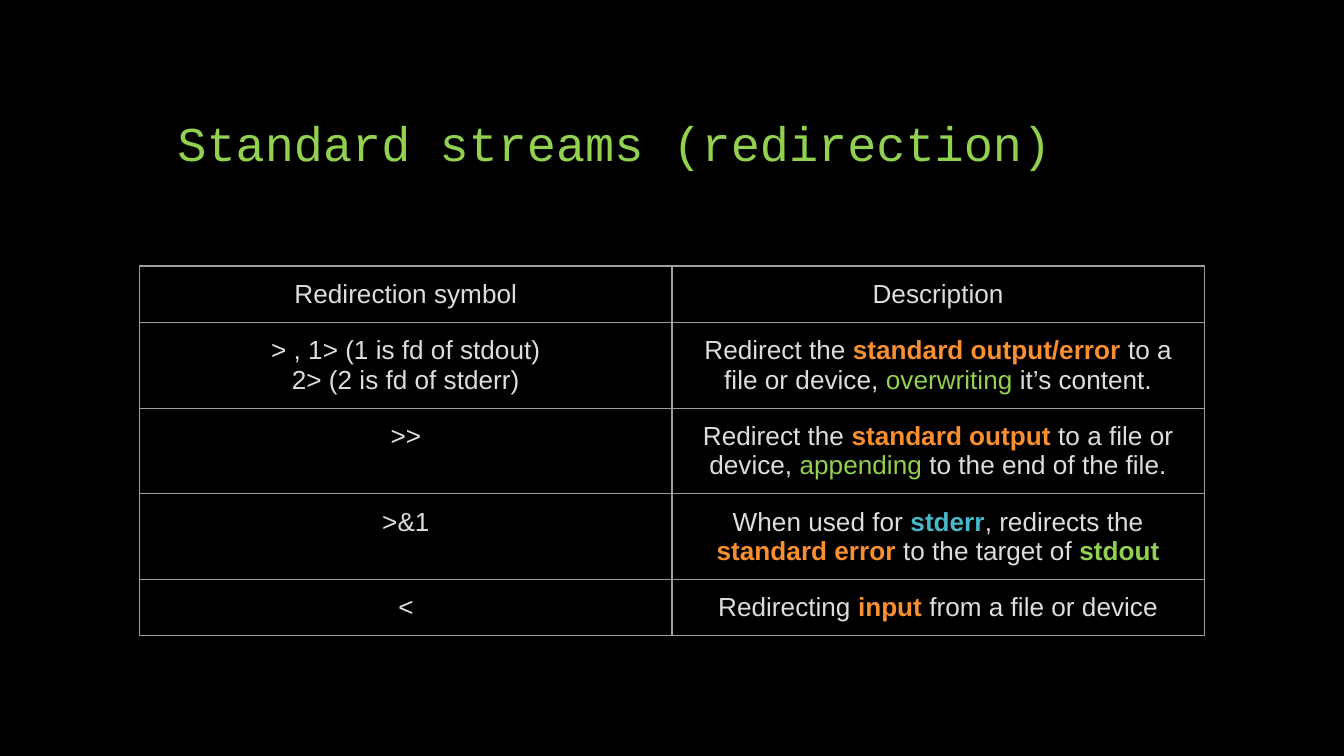
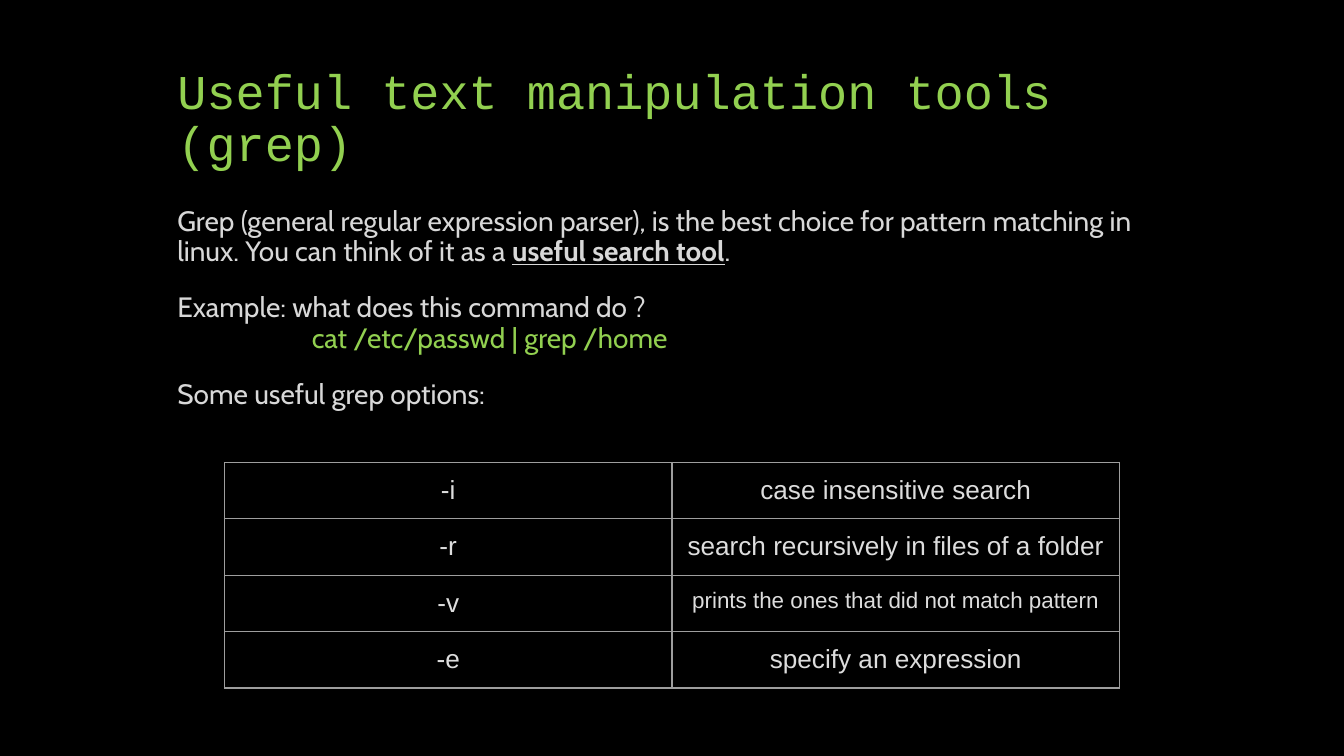
from lxml.etree import SubElement
from pptx import Presentation
from pptx.dml.color import RGBColor
from pptx.enum.text import MSO_ANCHOR as ANCHOR, MSO_AUTO_SIZE as AUTO, PP_ALIGN as ALIGN
from pptx.oxml.ns import qn
from pptx.util import Inches, Pt

# Shared look
BLACK, GREEN, ORANGE, TEAL = "000000", "92D050", "FA8F30", "47B8C7"
BODY_GREY, CELL_GREY, BORDER = "D8D8D8", "DDDDDD", "9E9E9E"
LEFT, TEXT_WIDTH = 1.25, 7.5
TITLE_ONLY = 5

# Run styles used inside the texts
KEY = dict(color=ORANGE, bold=True)
ACTION = dict(color=GREEN)
STDERR = dict(color=TEAL, bold=True)
STDOUT = dict(color=GREEN, bold=True)
STRESS = dict(bold=True, underline=True)
SMALL = dict(size=12)

REDIRECTIONS = [
    ("Redirection symbol", "Description"),
    ("> , 1> (1 is fd of stdout)\n2> (2 is fd of stderr)",
     ["Redirect the ", ("standard output/error", KEY), " to a file or device, ",
      ("overwriting", ACTION), " it’s content."]),
    (">>",
     ["Redirect the ", ("standard output", KEY), " to a file or device, ",
      ("appending", ACTION), " to the end of the file."]),
    (">&1",
     ["When used for ", ("stderr", STDERR), ", redirects the ",
      ("standard error", KEY), " to the target of ", ("stdout", STDOUT)]),
    ("<", ["Redirecting ", ("input", KEY), " from a file or device"]),
]

GREP_TEXT = [
    ["Grep (general regular expression parser), is the best choice for pattern "
     "matching in linux. You can think of it as a ",
     ("useful search tool", STRESS), "."],
    ["Example: what does this command do ?\n\t", ("cat /etc/passwd | grep /home", ACTION)],
    "Some useful grep options:",
]

GREP_OPTIONS = [
    ("-i", "case insensitive search"),
    ("-r", "search recursively in files of a folder"),
    ("-v", [("prints the ones that did not match pattern", SMALL)]),
    ("-e", "specify an expression"),
]


def rgb(color):
    return RGBColor.from_string(color)


def add_run(p, text, font, size, color, bold=False, underline=False):
    r = p.add_run()
    r.text = text
    r.font.name, r.font.size = font, Pt(size)
    r.font.color.rgb = rgb(color)
    r.font.bold, r.font.underline = bold, underline


def write(p, content, **base):
    """Fill a paragraph from a string, or a list of strings and (text, style) pairs."""
    for part in [content] if isinstance(content, str) else content:
        text, style = (part, {}) if isinstance(part, str) else part
        for i, line in enumerate(text.split("\n")):
            if i:
                p.add_line_break()
            add_run(p, line, **{**base, **style})


def set_frame(tf, anchor):
    tf.word_wrap, tf.auto_size = True, AUTO.NONE
    tf.vertical_anchor = anchor
    tf.margin_left = tf.margin_right = Inches(0.07)
    tf.margin_top = tf.margin_bottom = Inches(0.04)


def add_slide(prs, title):
    slide = prs.slides.add_slide(prs.slide_layouts[TITLE_ONLY])
    slide.background.fill.solid()
    slide.background.fill.fore_color.rgb = rgb(BLACK)
    sp = slide.shapes.title
    sp.left, sp.top = Inches(LEFT), Inches(0.38)
    sp.width, sp.height = Inches(TEXT_WIDTH), Inches(0.94)
    set_frame(sp.text_frame, ANCHOR.BOTTOM)
    p = sp.text_frame.paragraphs[0]
    p.alignment, p.line_spacing = ALIGN.LEFT, 0.9
    write(p, title, font="Courier New", size=26, color=GREEN)
    return slide


def add_tab_stop(p, position):
    tabs = SubElement(p._p.get_or_add_pPr(), qn("a:tabLst"))
    SubElement(tabs, qn("a:tab"), pos=str(Inches(position)), algn="l")


def add_body(slide, paragraphs):
    sp = slide.shapes.add_textbox(Inches(LEFT), Inches(1.5), Inches(TEXT_WIDTH), Inches(3.5))
    tf = sp.text_frame
    set_frame(tf, ANCHOR.TOP)
    for i, content in enumerate(paragraphs):
        p = tf.add_paragraph() if i else tf.paragraphs[0]
        p.line_spacing, p.space_before = 0.9, Pt(14 if i else 0)
        add_tab_stop(p, 1)
        write(p, content, font="Cabin", size=15, color=BODY_GREY)


def set_borders(cell):
    tc_pr = cell._tc.get_or_add_tcPr()
    for side in ("a:lnL", "a:lnR", "a:lnT", "a:lnB"):
        ln = SubElement(tc_pr, qn(side), w=str(Pt(0.75)))
        fill = SubElement(ln, qn("a:solidFill"))
        SubElement(fill, qn("a:srgbClr"), val=BORDER)


def add_grid(slide, left, top, col_width, row_heights, rows):
    n_cols = len(rows[0])
    table = slide.shapes.add_table(
        len(rows), n_cols, Inches(left), Inches(top),
        Inches(col_width * n_cols), Inches(sum(row_heights))).table
    table.first_row = table.horz_banding = False
    for col in table.columns:
        col.width = Inches(col_width)
    for row, height, contents in zip(table.rows, row_heights, rows):
        row.height = Inches(height)
        for cell, content in zip(row.cells, contents):
            cell.margin_left = cell.margin_right = Inches(0.1)
            cell.margin_top = cell.margin_bottom = Inches(0.1)
            set_borders(cell)
            cell.fill.background()
            p = cell.text_frame.paragraphs[0]
            p.alignment = ALIGN.CENTER
            write(p, content, font="Arial", size=14, color=CELL_GREY)


def main():
    prs = Presentation()
    prs.slide_width = Inches(10)
    prs.slide_height = prs.slide_width * 9 // 16

    # Redirection symbols
    slide = add_slide(prs, "Standard streams (redirection)")
    add_grid(slide, 1.04, 1.98, 3.96, [0.42, 0.42, 0.6, 0.42, 0.42], REDIRECTIONS)

    # grep and its options
    slide = add_slide(prs, "Useful text manipulation tools (grep)")
    add_body(slide, GREP_TEXT)
    add_grid(slide, 1.67, 3.44, 3.33, [0.42] * 4, GREP_OPTIONS)

    prs.save("out.pptx")


if __name__ == "__main__":
    main()
